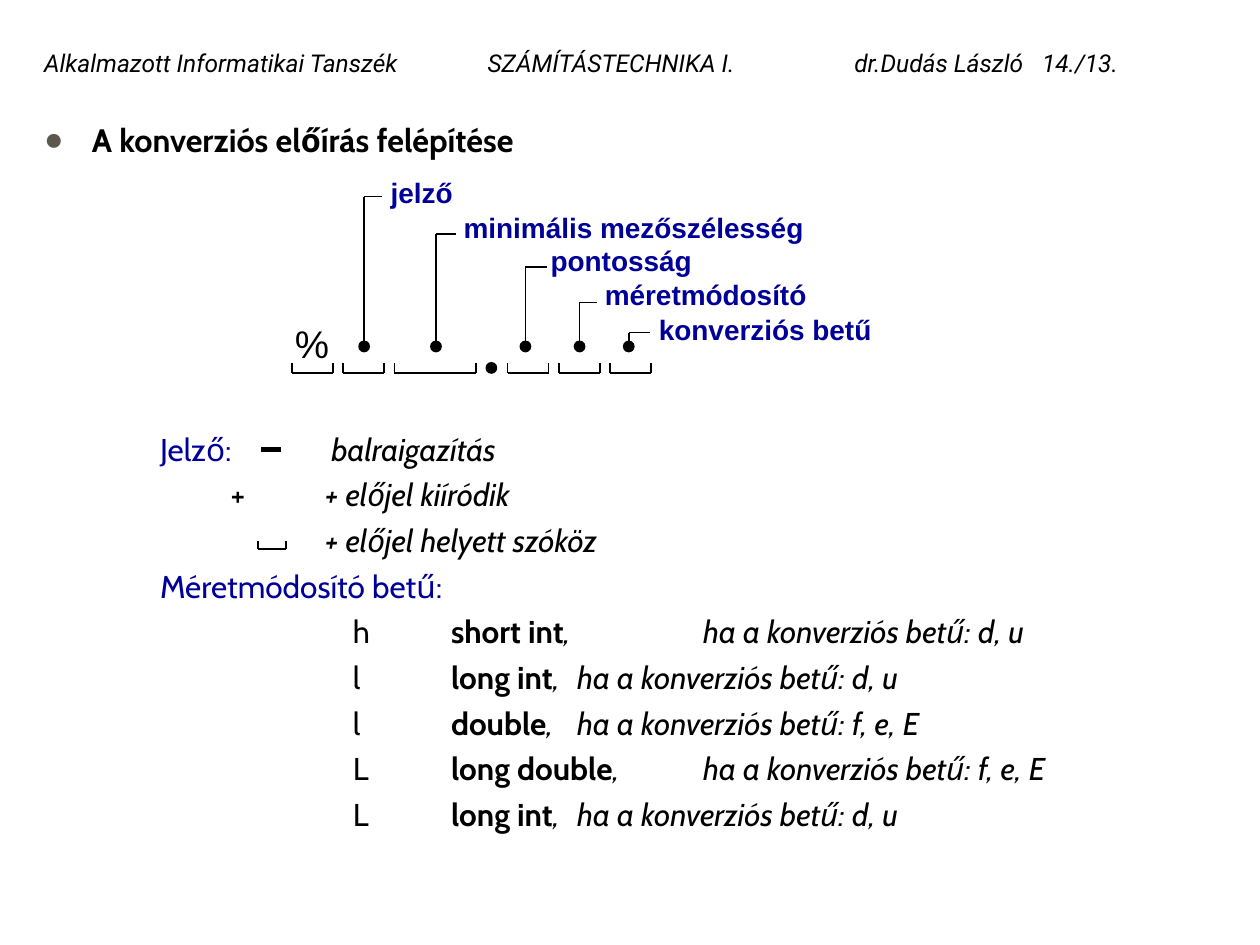
"""Build the slide on the parts of a conversion specification."""
import pptx
import pptx.dml.color
import pptx.enum.shapes
import pptx.enum.text
import pptx.util
from lxml import etree
from pptx.oxml.ns import qn

BLACK = pptx.dml.color.RGBColor(0x00, 0x00, 0x00)
WHITE = pptx.dml.color.RGBColor(0xFF, 0xFF, 0xFF)
NAVY = pptx.dml.color.RGBColor(0x00, 0x00, 0x99)
BULLET_COLOR = "5E574E"

WIDTH = pptx.util.Inches(10)
HEIGHT = pptx.util.Inches(7.5)
COLUMNS, ROWS = 100, 75

SLOT_LEFT, SLOT_PITCH, SLOT_WIDTH = 23.2, 4.05, 3.25
SLOTS = [(0, 1), (1, 1), (2, 2), (4.22, 1), (5.22, 1), (6.22, 1)]
DOT = 0.8
DOT_ROW = 27.5

FIELDS = [
    ("jelző", 28.9, 15.6, 30.3, (31, 13.9, 14.8)),
    ("minimális mezőszélesség", 34.6, 18.6, 36.2, (36.8, 16.7, 27.3)),
    ("pontosság", 41.7, 21.2, 43.4, (43.7, 19.3, 14.8)),
    ("méretmódosító", 46, 24, 47.4, (48, 22, 20.8)),
    ("konverziós betű", 49.9, 26.4, 51.6, (52.3, 24.8, 19)),
]

SIZE_MODIFIERS = [
    ("h", "short int", 4.31, "d, u"),
    ("l", "long int", 3.31, "d, u"),
    ("l", "double", 3.31, "f, e, E"),
    ("L", "long double", 4.31, "f, e, E"),
    ("L", "long int", 3.31, "d, u"),
]


def place(left, top, width, height):
    """Turn grid columns and rows into slide lengths."""
    return (int(WIDTH * left / COLUMNS), int(HEIGHT * top / ROWS),
            int(WIDTH * width / COLUMNS), int(HEIGHT * height / ROWS))


def set_font(font, name, size, color=BLACK, bold=False, italic=False):
    """Set every property of a font."""
    font.name, font.size = name, pptx.util.Pt(size)
    font.bold, font.italic = bold, italic
    font.color.rgb = color


def set_tabs(paragraph, stops):
    """Give a paragraph left tab stops in inches."""
    tabs = etree.SubElement(paragraph._p.get_or_add_pPr(), qn("a:tabLst"))
    for stop in stops:
        etree.SubElement(tabs, qn("a:tab"), pos=str(pptx.util.Inches(stop)), algn="l")


def set_bullet(paragraph, indent):
    """Give a paragraph a round bullet with a hanging indent."""
    properties = paragraph._p.get_or_add_pPr()
    properties.set("marL", str(pptx.util.Inches(indent)))
    properties.set("indent", str(-pptx.util.Inches(indent)))
    color = etree.SubElement(properties, qn("a:buClr"))
    etree.SubElement(color, qn("a:srgbClr"), val=BULLET_COLOR)
    etree.SubElement(properties, qn("a:buChar"), char="●")


def fill_placeholder(placeholder, text, box):
    """Move a placeholder, write its text and return the paragraph."""
    placeholder.left, placeholder.top, placeholder.width, placeholder.height = place(*box)
    frame = placeholder.text_frame
    frame.text = text
    frame.auto_size = pptx.enum.text.MSO_AUTO_SIZE.NONE
    frame.vertical_anchor = pptx.enum.text.MSO_ANCHOR.TOP
    paragraph = frame.paragraphs[0]
    paragraph.alignment = pptx.enum.text.PP_ALIGN.LEFT
    paragraph.space_before = pptx.util.Pt(0)
    return paragraph


def add_line(shapes, start, end, weight=1):
    """Draw a straight black line between two grid points."""
    line = shapes.add_connector(pptx.enum.shapes.MSO_CONNECTOR.STRAIGHT,
                                *place(*start, *end))
    line.line.color.rgb = BLACK
    line.line.width = pptx.util.Pt(weight)
    etree.SubElement(line._element.spPr, qn("a:effectLst"))


def add_slot(shapes, left, right, top, bottom):
    """Draw an open-topped bracket."""
    add_line(shapes, (left, top), (left, bottom))
    add_line(shapes, (left, bottom), (right, bottom))
    add_line(shapes, (right, top), (right, bottom))


def add_dot(shapes, center, middle):
    """Draw a black dot around a grid point."""
    dot = shapes.add_shape(pptx.enum.shapes.MSO_SHAPE.OVAL,
                           *place(center - DOT / 2, middle - DOT / 2, DOT, DOT))
    dot.shadow.inherit = False
    dot.fill.solid()
    dot.fill.fore_color.rgb = BLACK
    dot.line.color.rgb = BLACK
    dot.line.width = pptx.util.Pt(1)


def add_label(shapes, text, left, top, width, size=16, color=NAVY, bold=True):
    """Write a label on a white rectangle."""
    label = shapes.add_shape(pptx.enum.shapes.MSO_SHAPE.RECTANGLE,
                             *place(left, top, width, 3.4))
    label.shadow.inherit = False
    label.fill.solid()
    label.fill.fore_color.rgb = WHITE
    label.line.fill.background()
    frame = label.text_frame
    frame.margin_left = frame.margin_right = frame.margin_top = frame.margin_bottom = 0
    frame.vertical_anchor = pptx.enum.text.MSO_ANCHOR.TOP
    frame.text = text
    paragraph = frame.paragraphs[0]
    paragraph.alignment = pptx.enum.text.PP_ALIGN.LEFT
    set_font(paragraph.font, "Arial", size, color, bold)


def add_diagram(slide):
    """Draw the conversion specification with its named fields."""
    shapes = slide.shapes.add_group_shape().shapes
    for position, span in SLOTS:
        left = SLOT_LEFT + position * SLOT_PITCH
        add_slot(shapes, left, left + span * SLOT_WIDTH, 28.8, 29.6)
    add_dot(shapes, 39, 29.2)
    for name, stem, turn, end, label in FIELDS:
        add_dot(shapes, stem, DOT_ROW)
        add_line(shapes, (stem, turn), (stem, DOT_ROW))
        add_line(shapes, (stem, turn), (end, turn))
        add_label(shapes, name, *label)
    add_label(shapes, "%", 23.4, 25.4, 3, 22, BLACK, False)


def add_row(frame, stops, *runs):
    """Add a tabbed row of (text, color, bold, italic) runs."""
    first = not frame.paragraphs[0].runs
    paragraph = frame.paragraphs[0] if first else frame.add_paragraph()
    paragraph.space_before = pptx.util.Pt(0 if first else 4.5)
    set_tabs(paragraph, stops)
    set_font(paragraph.font, "Cabin", 18)
    for text, color, bold, italic in runs:
        run = paragraph.add_run()
        run.text = text
        run.font.color.rgb = color
        run.font.bold, run.font.italic = bold, italic


def add_legend(slide):
    """List the flags and the size modifier letters."""
    frame = slide.shapes.add_textbox(*place(6.7, 33.6, 88.2, 4.2)).text_frame
    frame.word_wrap = True
    frame.margin_left = pptx.util.Inches(0.6)
    add_row(frame, [1.36], ("Jelző:\t", NAVY, False, False),
            ("balraigazítás", BLACK, False, True))
    add_row(frame, [0.56, 1.31], ("\t+\t", BLACK, False, False),
            ("+ előjel kiíródik", BLACK, False, True))
    add_row(frame, [1.31], ("\t", BLACK, False, False),
            ("+ előjel helyett szóköz", BLACK, False, True))
    add_row(frame, [], ("Méretmódosító betű:", NAVY, False, False))
    for letter, kind, condition_stop, conversions in SIZE_MODIFIERS:
        add_row(frame, [1.53, 2.31, condition_stop],
                (f"\t{letter}\t", BLACK, False, False),
                (kind, BLACK, True, False),
                (f",\tha a konverziós betű: {conversions}", BLACK, False, True))
    add_line(slide.shapes, (20.7, 35.7), (22.3, 35.7), 3)
    add_slot(slide.shapes.add_group_shape().shapes, 20.5, 22.7, 42.9, 43.6)


def main():
    """Assemble and save the slide."""
    deck = pptx.Presentation()
    deck.slide_width, deck.slide_height = WIDTH, HEIGHT
    slide = deck.slides.add_slide(deck.slide_layouts[1])
    header = fill_placeholder(
        slide.shapes.title,
        "Alkalmazott Informatikai Tanszék\tSZÁMÍTÁSTECHNIKA I.\tdr.Dudás László\t14./13.",
        (2.5, 3.3, 95, 3.3))
    set_tabs(header, [3.52, 6.43, 7.92])
    set_font(header.font, "Roboto", 14, italic=True)
    topic = fill_placeholder(slide.placeholders[1], "A konverziós előírás felépítése",
                             (2.5, 9, 80.8, 4.2))
    set_bullet(topic, 0.38)
    set_font(topic.font, "Cabin", 18.5, bold=True)
    add_diagram(slide)
    add_legend(slide)
    deck.save("out.pptx")


if __name__ == "__main__":
    main()
